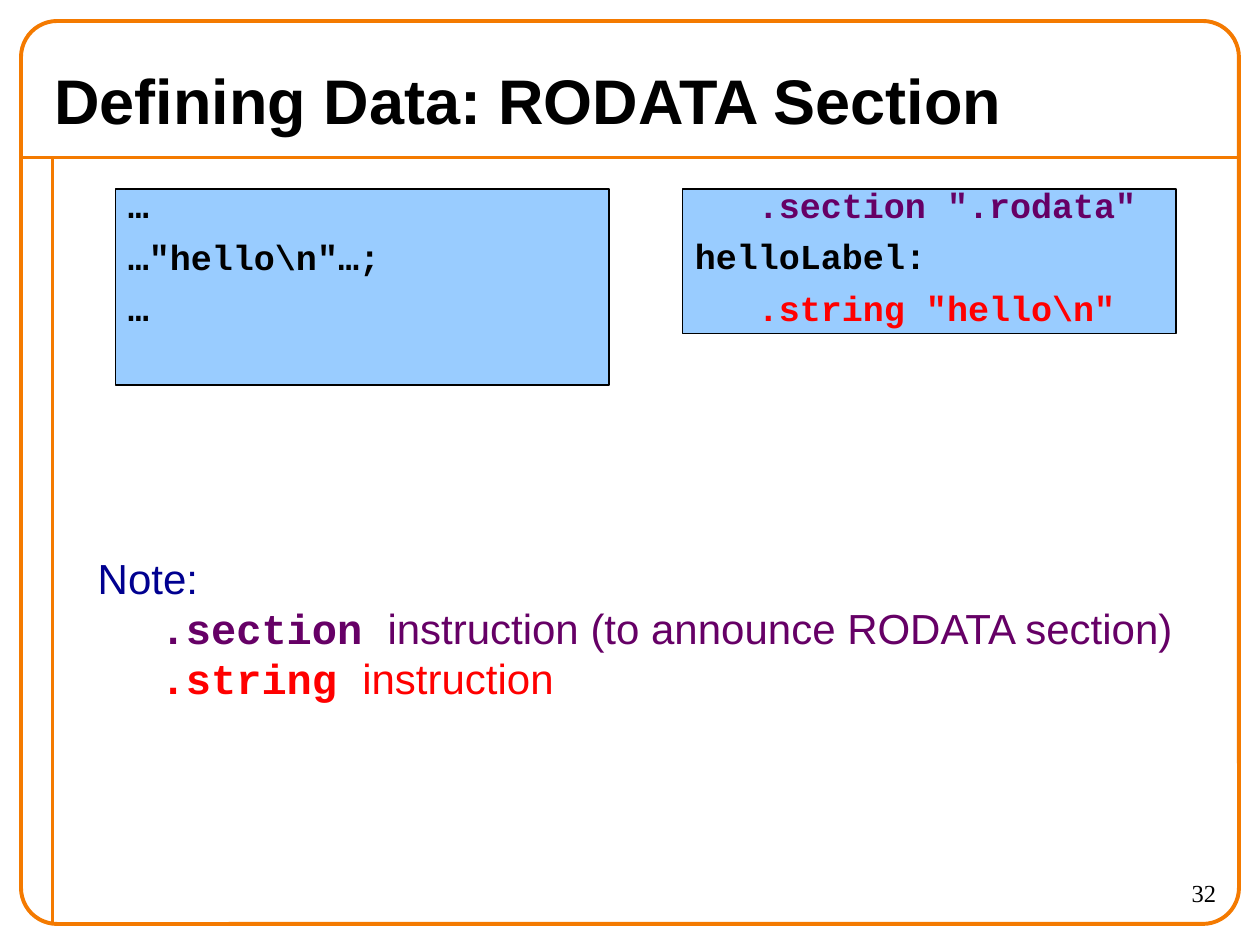
from dataclasses import dataclass

from pptx import Presentation
from pptx.dml.color import RGBColor
from pptx.enum.shapes import MSO_CONNECTOR, MSO_SHAPE
from pptx.enum.text import MSO_ANCHOR, PP_ALIGN
from pptx.oxml.ns import qn
from pptx.util import Pt

ORANGE, BLUE, BLACK = "F47A00", "99CCFF", "000000"
PURPLE, RED, NAVY = "660066", "FF0000", "000090"
STEP = 36  # indent of nested lines


@dataclass
class Run:
    text: str
    size: float
    color: str = BLACK
    font: str = "Arial"
    bold: bool = False


@dataclass
class Line:
    runs: list[Run]
    indent: float = 0
    align: PP_ALIGN = PP_ALIGN.LEFT


@dataclass
class Box:
    left: float
    top: float
    width: float
    height: float

    def lengths(self) -> list[Pt]:
        return [Pt(v) for v in (self.left, self.top, self.width, self.height)]


def rgb(color: str) -> RGBColor:
    return RGBColor.from_string(color)


def set_line(sp, color: str, width: float) -> None:
    sp.line.color.rgb = rgb(color)
    sp.line.width = Pt(width)


def add_rule(s, x1: float, y1: float, x2: float, y2: float) -> None:
    sp = s.shapes.add_connector(MSO_CONNECTOR.STRAIGHT, Pt(x1), Pt(y1), Pt(x2), Pt(y2))
    set_line(sp, ORANGE, 2.25)
    sp._element.spPr.append(sp._element.makeelement(qn("a:effectLst"), {}))


def write(tf, lines: list[Line], anchor=MSO_ANCHOR.TOP, **spacing) -> None:
    """Fill a text frame; spacing holds paragraph attributes for every line."""
    tf.word_wrap = True
    tf.vertical_anchor = anchor
    for i, line in enumerate(lines):
        p = tf.add_paragraph() if i else tf.paragraphs[0]
        for name, value in {"alignment": line.align, **spacing}.items():
            setattr(p, name, value)
        pPr = p._p.get_or_add_pPr()
        pPr.set("marL", str(Pt(line.indent)))
        pPr.set("indent", "0")
        for run in line.runs:
            r = p.add_run()
            r.text = run.text
            formats = {"name": run.font, "size": Pt(run.size), "bold": run.bold}
            for name, value in formats.items():
                setattr(r.font, name, value)
            r.font.color.rgb = rgb(run.color)


def add_text(s, box: Box, lines: list[Line], anchor=MSO_ANCHOR.TOP) -> None:
    write(s.shapes.add_textbox(*box.lengths()).text_frame, lines, anchor)


def add_code(s, box: Box, lines: list[Line]) -> None:
    sp = s.shapes.add_shape(MSO_SHAPE.RECTANGLE, *box.lengths())
    sp.shadow.inherit = False
    sp.fill.solid()
    sp.fill.fore_color.rgb = rgb(BLUE)
    set_line(sp, BLACK, 0.75)
    write(sp.text_frame, lines, line_spacing=0.7, space_before=Pt(12.5))


def code(text: str, color: str = BLACK, indent: float = 0) -> Line:
    return Line([Run(text, 20, color, "Courier New", True)], indent)


def note(directive: str, text: str, color: str) -> Line:
    return Line([Run(directive, 24, color, "Courier New", True), Run(text, 24, color)], STEP)


def add_frame(s) -> None:
    add_rule(s, 12, 90, 708, 90)
    add_rule(s, 30, 90, 30, 528)
    sp = s.shapes.add_shape(MSO_SHAPE.ROUNDED_RECTANGLE, *Box(12, 12, 696, 516).lengths())
    sp.adjustments[0] = 0.04
    sp.shadow.inherit = False
    sp.fill.background()
    set_line(sp, ORANGE, 2.25)


def main() -> None:
    prs = Presentation()
    prs.slide_width, prs.slide_height = Pt(720), Pt(540)
    s = prs.slides.add_slide(prs.slide_layouts[6])
    add_frame(s)
    add_text(s, Box(24, 30, 672, 54),
             [Line([Run("Defining Data: RODATA Section", 36, bold=True)])],
             MSO_ANCHOR.MIDDLE)
    add_text(s, Box(630, 498, 72, 30),
             [Line([Run("32", 14, font="Times New Roman")], align=PP_ALIGN.RIGHT)])
    add_code(s, Box(66, 108, 282, 112),
             [code("…"), code('…"hello\\n"…;'), code("…")])
    add_code(s, Box(390, 108, 282, 82.5),
             [code('.section ".rodata"', PURPLE, STEP),
              code("helloLabel:"),
              code('.string "hello\\n"', RED, STEP)])
    add_text(s, Box(48.75, 312, 634, 93.5),
             [Line([Run("Note:", 24, NAVY)]),
              note(".section ", "instruction (to announce RODATA section)", PURPLE),
              note(".string ", "instruction", RED)])
    prs.save("out.pptx")


if __name__ == "__main__":
    main()
